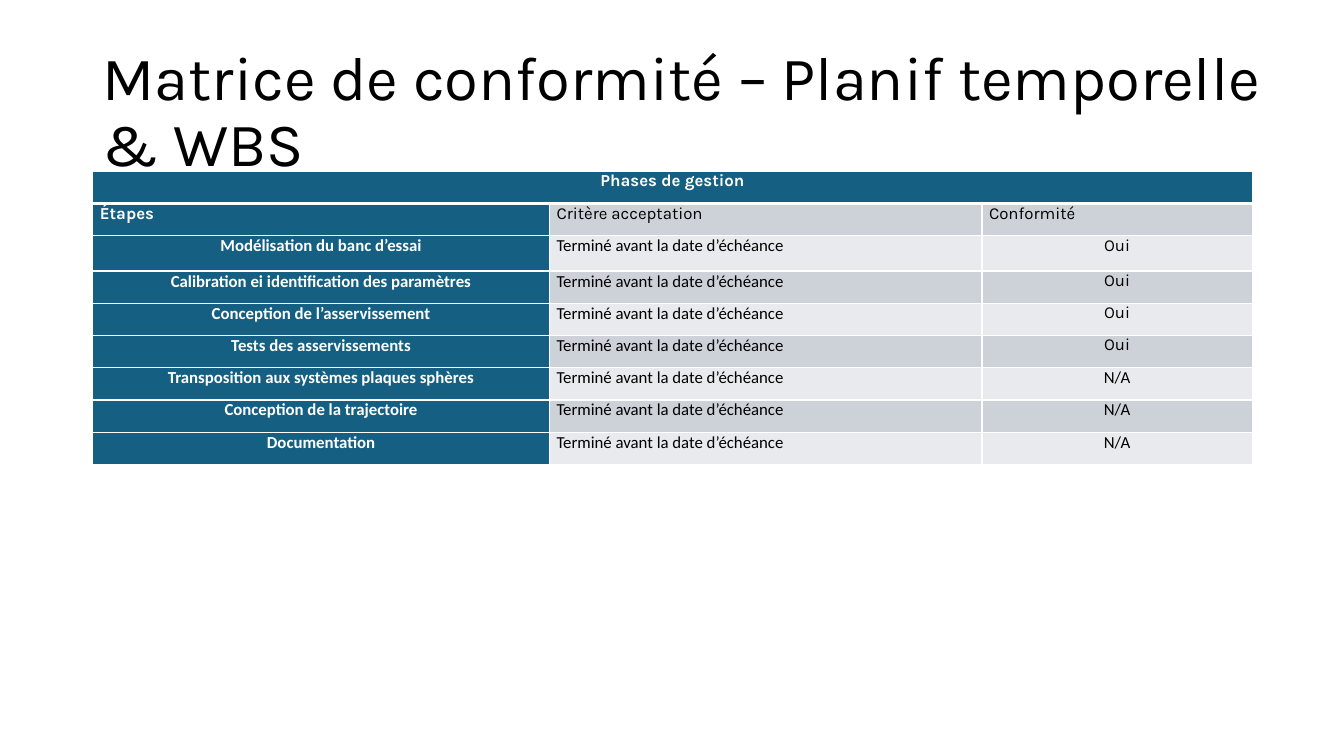
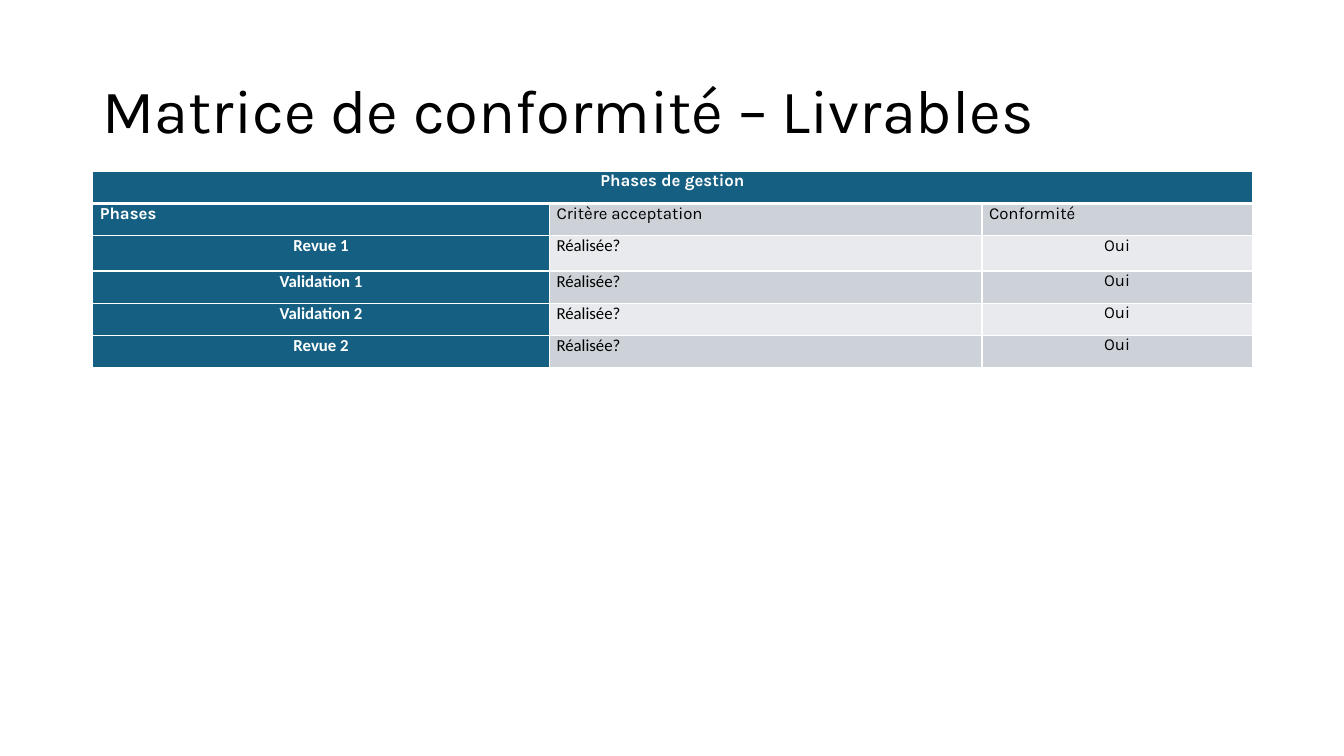
import pptx
import pptx.dml.color
import pptx.enum.text
import pptx.oxml
import pptx.oxml.ns
import pptx.util
from dataclasses import dataclass

Inches = pptx.util.Inches
Pt = pptx.util.Pt
RGB = pptx.dml.color.RGBColor.from_string
ALIGN = pptx.enum.text.PP_ALIGN
ANCHOR = pptx.enum.text.MSO_ANCHOR


@dataclass(frozen=True)
class Theme:
    ink: str = "000000"
    paper: str = "FFFFFF"
    accent: str = "156082"
    bands: tuple = ("CCD2D8", "E8EAED")
    heading_font: str = "Karla"
    body_font: str = "Calibri"
    title_size: int = 44
    table_size: int = 12
    rule: int = 1
    heavy_rule: int = 3


THEME = Theme()
WIDTH, HEIGHT = 13.33, 7.5
LEFT, TITLE_TOP, TITLE_HEIGHT = 0.92, 0.4, 1.45
TABLE_TOP = 1.7
COLUMNS = (4.53, 4.29, 2.68)
ROW, FIRST_STEP_ROW = 0.32, 0.35
TABLE_WIDTH = sum(COLUMNS)
DUE = "Terminé avant la date d’échéance"
DONE = "Réalisée?"

SLIDES = [
    dict(
        title="Matrice de conformité – Planif temporelle & WBS",
        title_width=12.34,
        row_heading="Étapes",
        criterion=DUE,
        steps=[
            ("Modélisation du banc d’essai", "Oui"),
            ("Calibration ei identification des paramètres", "Oui"),
            ("Conception de l’asservissement", "Oui"),
            ("Tests des asservissements", "Oui"),
            ("Transposition aux systèmes plaques sphères", "N/A"),
            ("Conception de la trajectoire", "N/A"),
            ("Documentation", "N/A"),
        ],
    ),
    dict(
        title="Matrice de conformité – Livrables",
        title_width=TABLE_WIDTH,
        row_heading="Phases",
        criterion=DONE,
        steps=[(name, "Oui") for name in
               ("Revue 1", "Validation 1", "Validation 2", "Revue 2")],
    ),
]


def set_attrs(obj, values):
    for name, value in values.items():
        setattr(obj, name, value)


def write(tf, text, size, font, color, bold=False, align=ALIGN.LEFT):
    p = tf.paragraphs[0]
    p.alignment = align
    r = p.add_run()
    r.text = text
    set_attrs(r.font, dict(size=Pt(size), name=font, bold=bold))
    r.font.color.rgb = RGB(color)
    return p


def add_title(slide, text, width):
    sp = slide.shapes.add_textbox(Inches(LEFT), Inches(TITLE_TOP),
                                  Inches(width), Inches(TITLE_HEIGHT))
    tf = sp.text_frame
    set_attrs(tf, dict(word_wrap=True, vertical_anchor=ANCHOR.MIDDLE))
    p = write(tf, text, THEME.title_size, THEME.heading_font, THEME.ink)
    p.line_spacing = 0.9


def set_borders(cell, **widths):
    """Draw the four cell borders, with widths in points by side."""
    tc_pr = cell._tc.get_or_add_tcPr()
    for side in ("L", "R", "T", "B"):
        width = Pt(widths.get(side, THEME.rule))
        tc_pr.append(pptx.oxml.parse_xml(
            f'<a:ln{side} {pptx.oxml.ns.nsdecls("a")} w="{width}">'
            f'<a:solidFill><a:srgbClr val="{THEME.paper}"/></a:solidFill>'
            f'</a:ln{side}>'))


def style_cell(cell, row, col):
    set_attrs(cell, dict(margin_left=Inches(0.07), margin_right=Inches(0.07),
                         margin_top=0, margin_bottom=0))
    heavy = {0: {"B": THEME.heavy_rule}, 1: {"T": THEME.heavy_rule}}
    set_borders(cell, **heavy.get(row, {}))
    cell.fill.solid()
    on_accent = row == 0 or col == 0
    fill = THEME.accent if on_accent else THEME.bands[(row - 1) % 2]
    cell.fill.fore_color.rgb = RGB(fill)


def write_cell(cell, text, row, col):
    on_accent = row == 0 or col == 0
    is_heading = row < 2 or text == "Oui"
    centred = row == 0 or (row > 1 and col != 1)
    write(cell.text_frame, text, THEME.table_size,
          THEME.heading_font if is_heading else THEME.body_font,
          THEME.paper if on_accent else THEME.ink,
          bold=on_accent, align=ALIGN.CENTER if centred else ALIGN.LEFT)


def add_matrix(slide, row_heading, criterion, steps):
    rows = [("Phases de gestion", "", ""),
            (row_heading, "Critère acceptation", "Conformité")]
    rows += [(step, criterion, status) for step, status in steps]
    heights = [FIRST_STEP_ROW if i == 2 else ROW for i in range(len(rows))]
    table = slide.shapes.add_table(
        len(rows), len(COLUMNS), Inches(LEFT), Inches(TABLE_TOP),
        Inches(TABLE_WIDTH), Inches(sum(heights))).table
    for column, width in zip(table.columns, COLUMNS):
        column.width = Inches(width)
    for i, (texts, height) in enumerate(zip(rows, heights)):
        table.rows[i].height = Inches(height)
        for j, text in enumerate(texts):
            cell = table.cell(i, j)
            style_cell(cell, i, j)
            if text:
                write_cell(cell, text, i, j)
    table.cell(0, 0).merge(table.cell(0, len(COLUMNS) - 1))


def main():
    prs = pptx.Presentation()
    set_attrs(prs, dict(slide_width=Inches(WIDTH),
                        slide_height=Inches(HEIGHT)))
    for content in SLIDES:
        slide = prs.slides.add_slide(prs.slide_layouts[6])
        add_title(slide, content["title"], content["title_width"])
        add_matrix(slide, content["row_heading"], content["criterion"],
                   content["steps"])
    prs.save("out.pptx")


if __name__ == "__main__":
    main()
